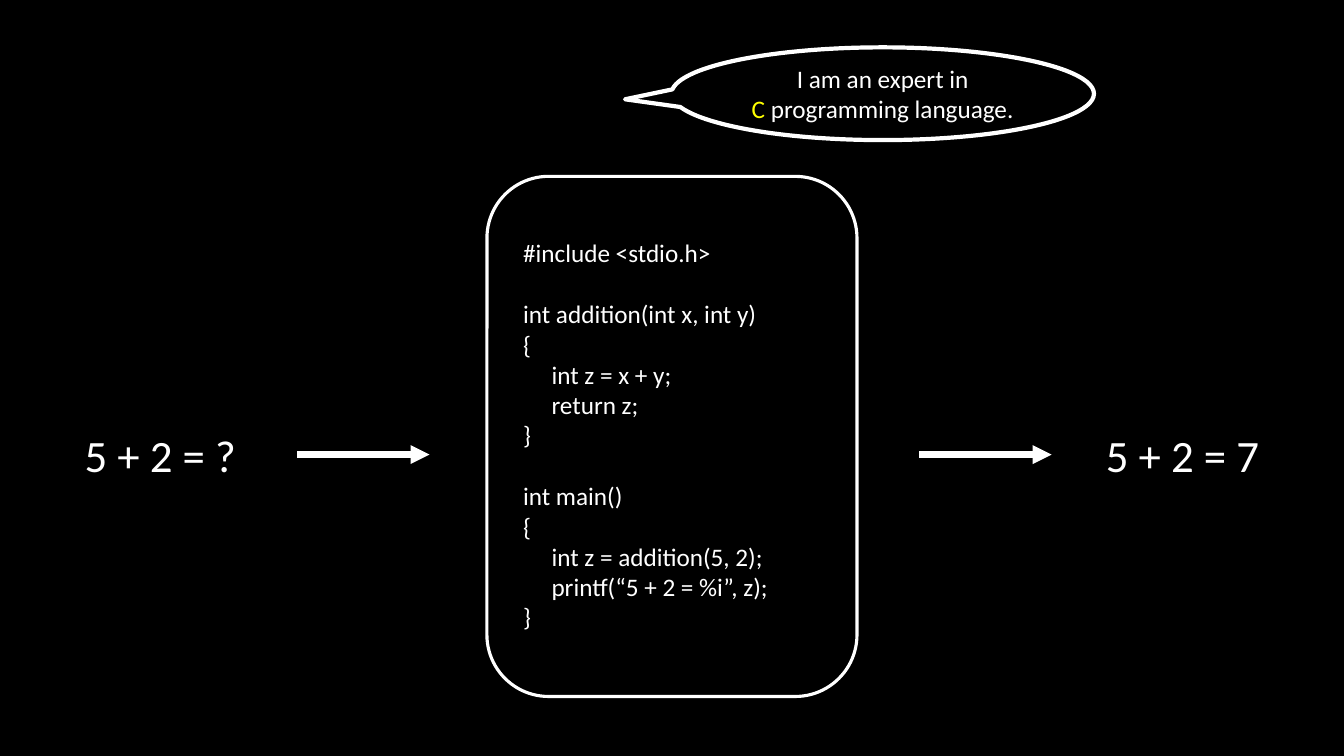
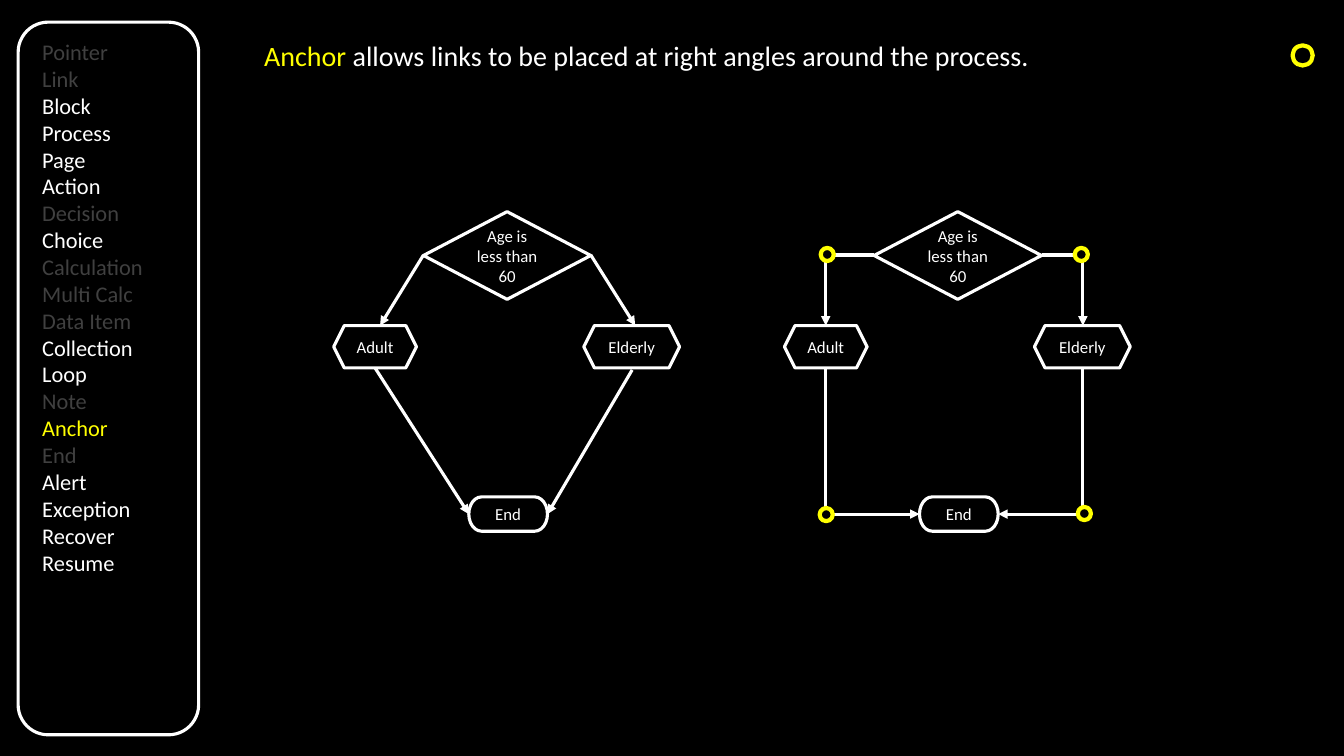
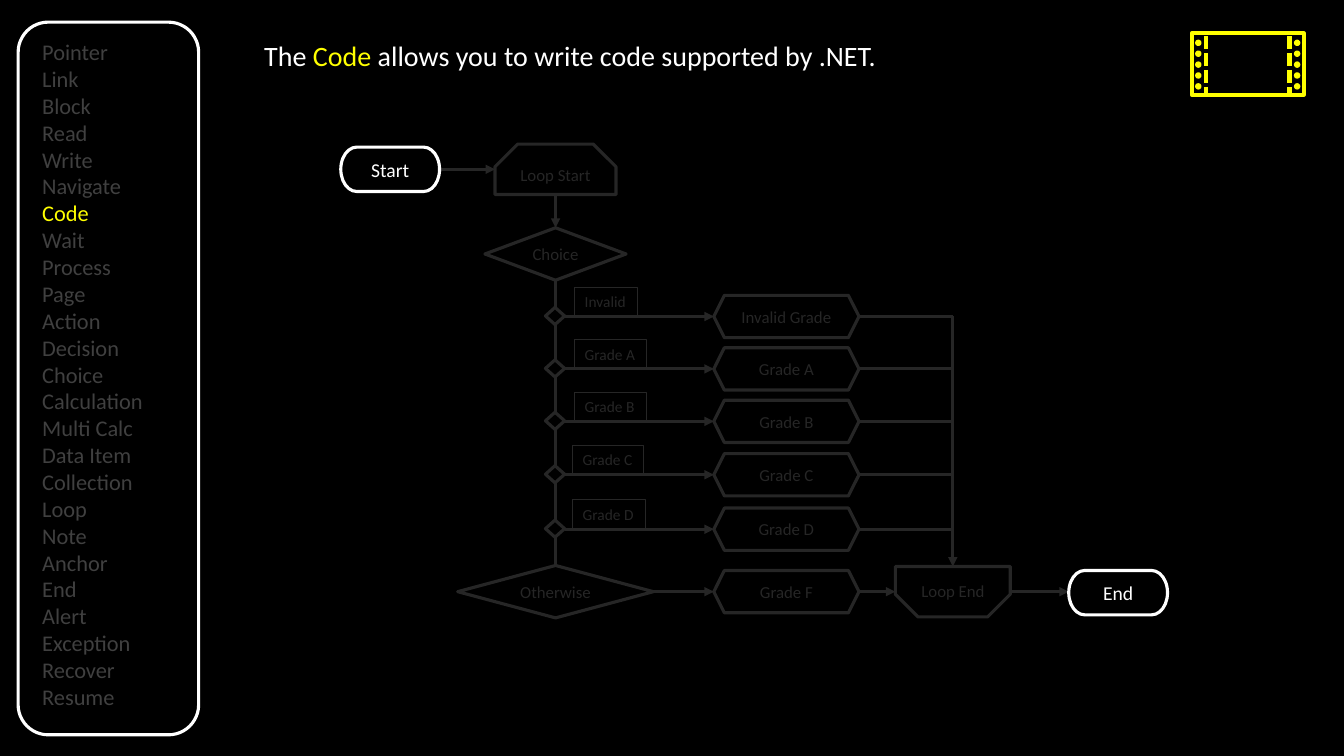
import pptx
import pptx.dml.color
import pptx.enum.dml
import pptx.enum.shapes
import pptx.enum.text
import pptx.oxml.ns
import pptx.util
from lxml import etree

Inches = pptx.util.Inches
Pt = pptx.util.Pt
RGBColor = pptx.dml.color.RGBColor
SHAPE = pptx.enum.shapes.MSO_SHAPE
ALIGN = pptx.enum.text.PP_ALIGN
ANCHOR = pptx.enum.text.MSO_ANCHOR
DASH = pptx.enum.dml.MSO_LINE
qn = pptx.oxml.ns.qn

BLACK = RGBColor(0x00, 0x00, 0x00)
WHITE = RGBColor(0xFF, 0xFF, 0xFF)
YELLOW = RGBColor(0xFF, 0xFF, 0x00)
GREY = RGBColor(0x40, 0x40, 0x40)
DIM = RGBColor(0x26, 0x26, 0x26)
FONT = "Calibri"
TITLE_ONLY, BLANK = 5, 6

CODE = [
    "#include <stdio.h>",
    "",
    "int addition(int x, int y)",
    "{",
    "     int z = x + y;",
    "     return z;",
    "}",
    "",
    "int main()",
    "{",
    "     int z = addition(5, 2);",
    "     printf(“5 + 2 = %i”, z);",
    "}",
]

PROCESS_STEPS = [
    "Pointer", "Link", "Block", "Process", "Page", "Action", "Decision",
    "Choice", "Calculation", "Multi Calc", "Data Item", "Collection", "Loop",
    "Note", "Anchor", "End", "Alert", "Exception", "Recover", "Resume",
]
OBJECT_STEPS = PROCESS_STEPS[:3] + ["Read", "Write", "Navigate", "Code", "Wait"] + PROCESS_STEPS[3:]
KNOWN_STEPS = {
    "Block", "Process", "Page", "Action", "Choice", "Collection", "Loop",
    "Alert", "Exception", "Recover", "Resume",
}


def write(shape, lines, size, align=ALIGN.LEFT, anchor=ANCHOR.TOP, wrap=True):
    frame = shape.text_frame
    frame.word_wrap = wrap
    frame.auto_size = pptx.enum.text.MSO_AUTO_SIZE.NONE
    frame.vertical_anchor = anchor
    para = frame.paragraphs[0]
    gap = 0
    for spans in lines:
        if not any(words for words, colour in spans):
            gap = size * 1.22
            continue
        if para.runs:
            para = frame.add_paragraph()
        para.alignment = align
        if gap:
            para.space_before = Pt(gap)
            gap = 0
        for words, colour in spans:
            span = para.add_run()
            span.text = words
            span.font.name = FONT
            span.font.size = Pt(size)
            span.font.color.rgb = colour


def add_text(page, left, top, width, height, lines, size, wrap=True):
    box = page.shapes.add_textbox(Inches(left), Inches(top), Inches(width), Inches(height))
    write(box, lines, size, wrap=wrap)
    return box


def add_outline(page, kind, left, top, width, height, colour=WHITE, weight=2.25, fill=None):
    shape = page.shapes.add_shape(kind, Inches(left), Inches(top), Inches(width), Inches(height))
    shape.shadow.inherit = False
    if fill is None:
        shape.fill.background()
    else:
        shape.fill.solid()
        shape.fill.fore_color.rgb = fill
    shape.line.color.rgb = colour
    shape.line.width = Pt(weight)
    return shape


def add_node(page, kind, left, top, width, height, label, colour=WHITE, size=12):
    node = add_outline(page, kind, left, top, width, height, colour)
    write(node, [[(label, colour)]], size, ALIGN.CENTER, ANCHOR.MIDDLE)
    return node


def add_line(page, start, end, colour=WHITE, weight=2.25, arrow=True, dash=None):
    ends = [Inches(length) for length in (*start, *end)]
    line = page.shapes.add_connector(pptx.enum.shapes.MSO_CONNECTOR.STRAIGHT, *ends)
    line.line.color.rgb = colour
    line.line.width = Pt(weight)
    if dash is not None:
        line.line.dash_style = dash
    properties = line._element.spPr
    if arrow:
        etree.SubElement(properties.find(qn("a:ln")), qn("a:tailEnd"), type="triangle")
    etree.SubElement(properties, qn("a:effectLst"))


def add_circle(page, left, top, size, weight=3, fill=None):
    add_outline(page, SHAPE.FLOWCHART_CONNECTOR, left, top, size, size, YELLOW, weight, fill)


def add_title(page, spans):
    title = page.shapes.title
    title.left, title.top = Inches(2.52), Inches(0.33)
    title.width, title.height = Inches(8.59), Inches(0.44)
    write(title, [spans], 20)


def add_sidebar(page, steps, current, known=()):
    def colour_of(step):
        if step == current:
            return YELLOW
        return WHITE if step in known else GREY

    lines = [[(step, colour_of(step))] for step in steps]
    add_text(page, 0.32, 0.33, 1.21, 0.1 + 0.27 * len(steps), lines, 16, wrap=False)
    add_outline(page, SHAPE.ROUNDED_RECTANGLE, 0.18, 0.22, 1.79, 7.07)


def build_expert_slide(deck):
    page = deck.slides.add_slide(deck.slide_layouts[BLANK])
    add_outline(page, SHAPE.ROUNDED_RECTANGLE, 4.83, 1.75, 3.67, 5.16)
    add_text(page, 5.09, 2.31, 2.87, 4.04, [[(line, WHITE)] for line in CODE], 18)
    for left, formula in ((0.74, "5 + 2 = ?"), (10.87, "5 + 2 = 7")):
        add_text(page, left, 4.19, 1.73, 0.64, [[(formula, WHITE)]], 32, wrap=False)
    for left in (2.95, 9.12):
        add_line(page, (left, 4.51), (left + 1.31, 4.51), weight=4.5)
    speech = add_outline(page, SHAPE.OVAL_CALLOUT, 6.66, 0.47, 4.19, 0.92, weight=3)
    speech.adjustments[0] = -0.61
    speech.adjustments[1] = 0.06
    lines = [[("I am an expert in", WHITE)], [("C", YELLOW), (" programming language.", WHITE)]]
    write(speech, lines, 18, ALIGN.CENTER, ANCHOR.MIDDLE)


def add_age_flow(page, left):
    add_node(page, SHAPE.DIAMOND, left, 2.1, 1.66, 0.87, "Age is less than 60")
    add_node(page, SHAPE.HEXAGON, left - 0.89, 3.23, 0.82, 0.42, "Adult")
    add_node(page, SHAPE.HEXAGON, left + 1.59, 3.23, 0.95, 0.42, "Elderly")
    add_node(page, SHAPE.FLOWCHART_TERMINATOR, left + 0.45, 4.93, 0.78, 0.34, "End")


def build_anchor_slide(deck):
    page = deck.slides.add_slide(deck.slide_layouts[TITLE_ONLY])
    add_sidebar(page, PROCESS_STEPS, "Anchor", KNOWN_STEPS)
    add_title(page, [
        ("Anchor", YELLOW),
        (" allows links to be placed at right angles around the process.", WHITE),
    ])
    add_circle(page, 12.82, 0.45, 0.2)

    add_age_flow(page, 4.2)
    add_line(page, (4.2, 2.53), (3.77, 3.23))
    add_line(page, (5.86, 2.53), (6.3, 3.23))
    add_line(page, (3.72, 3.65), (4.65, 5.1))
    add_line(page, (6.27, 3.67), (5.43, 5.1))

    add_age_flow(page, 8.67)
    for corner, choice_side, end_side in ((8.19, 8.67, 9.12), (10.74, 10.33, 9.9)):
        add_line(page, (choice_side, 2.53), (corner, 2.53), arrow=False)
        add_line(page, (corner, 2.53), (corner, 3.23))
        add_line(page, (corner, 3.65), (corner, 5.1), arrow=False)
        add_line(page, (corner, 5.1), (end_side, 5.1))
    for left, top in ((8.14, 2.46), (10.66, 2.46), (8.13, 5.04), (10.69, 5.03)):
        add_circle(page, left, top, 0.13, fill=BLACK)


def add_film_icon(page):
    add_outline(page, SHAPE.RECTANGLE, 11.82, 0.33, 1.11, 0.61, YELLOW, 3)
    for strip, hole in ((11.96, 11.86), (12.79, 12.84)):
        add_line(page, (strip, 0.36), (strip, 0.95), YELLOW, 3, False, DASH.SQUARE_DOT)
        for row in range(5):
            add_circle(page, hole, 0.4 + 0.108 * row, 0.05, 1, YELLOW)


def add_loop_box(page, left, top, width):
    box = add_outline(page, SHAPE.SNIP_2_SAME_RECTANGLE, left, top, width, 0.5, DIM, fill=BLACK)
    box.adjustments[0] = 0.45
    box.adjustments[1] = 0
    return box


def add_grade_branches(page):
    branches = [
        ("Invalid", "Invalid Grade", 3.14, 5.7, 0.62),
        ("Grade A", "Grade A", 3.66, 5.7, 0.71),
        ("Grade B", "Grade B", 4.18, 5.7, 0.71),
        ("Grade C", "Grade C", 4.71, 5.68, 0.7),
        ("Grade D", "Grade D", 5.25, 5.68, 0.72),
    ]
    above = 2.77
    for test, action, middle, tag_left, tag_width in branches:
        add_line(page, (5.51, above), (5.51, middle - 0.09), DIM, arrow=False)
        above = middle + 0.08
        add_outline(page, SHAPE.DIAMOND, 5.41, middle - 0.09, 0.19, 0.17, DIM)
        add_line(page, (5.6, middle), (7.08, middle), DIM)
        tag = add_outline(page, SHAPE.RECTANGLE, tag_left, middle - 0.29, tag_width, 0.29, DIM, 0.75)
        write(tag, [[(test, DIM)]], 11, wrap=False)
        add_node(page, SHAPE.HEXAGON, 7.08, middle - 0.21, 1.44, 0.42, action, DIM)
        add_line(page, (8.52, middle), (9.45, middle), DIM, arrow=False)
    add_line(page, (5.51, above), (5.51, 5.61), DIM, arrow=False)
    add_line(page, (9.45, branches[0][2]), (9.45, 5.62), DIM)


def build_code_slide(deck):
    page = deck.slides.add_slide(deck.slide_layouts[TITLE_ONLY])
    add_sidebar(page, OBJECT_STEPS, "Code")
    add_title(page, [
        ("The ", WHITE),
        ("Code", YELLOW),
        (" allows you to write code supported by .NET.", WHITE),
    ])
    add_film_icon(page)

    loop_start = add_loop_box(page, 4.91, 1.43, 1.2)
    write(loop_start, [[("Loop Start", DIM)]], 12, ALIGN.CENTER, ANCHOR.MIDDLE)
    add_node(page, SHAPE.DIAMOND, 4.81, 2.26, 1.4, 0.52, "Choice", DIM)
    add_grade_branches(page)
    add_node(page, SHAPE.DIAMOND, 4.54, 5.61, 1.94, 0.52, "Otherwise", DIM)
    add_node(page, SHAPE.HEXAGON, 7.08, 5.66, 1.44, 0.42, "Grade F", DIM)
    loop_end = add_loop_box(page, 8.88, 5.62, 1.14)
    loop_end.rotation = 180
    add_text(page, 9.04, 5.71, 0.83, 0.3, [[("Loop End", DIM)]], 12, wrap=False)

    add_line(page, (5.51, 1.93), (5.51, 2.26), DIM)
    add_line(page, (4.36, 1.68), (4.91, 1.68), DIM)
    for start, end in ((6.48, 7.08), (8.52, 8.88), (10.02, 10.6)):
        add_line(page, (start, 5.87), (end, 5.87), DIM)
    add_node(page, SHAPE.FLOWCHART_TERMINATOR, 3.38, 1.46, 0.98, 0.44, "Start", size=14)
    add_node(page, SHAPE.FLOWCHART_TERMINATOR, 10.6, 5.66, 0.98, 0.44, "End", size=14)


def main():
    deck = pptx.Presentation()
    deck.slide_width = Inches(13.33)
    deck.slide_height = Inches(7.5)
    backdrop = deck.slide_master.background.fill
    backdrop.solid()
    backdrop.fore_color.rgb = BLACK
    build_expert_slide(deck)
    build_anchor_slide(deck)
    build_code_slide(deck)
    deck.save("out.pptx")


if __name__ == "__main__":
    main()
